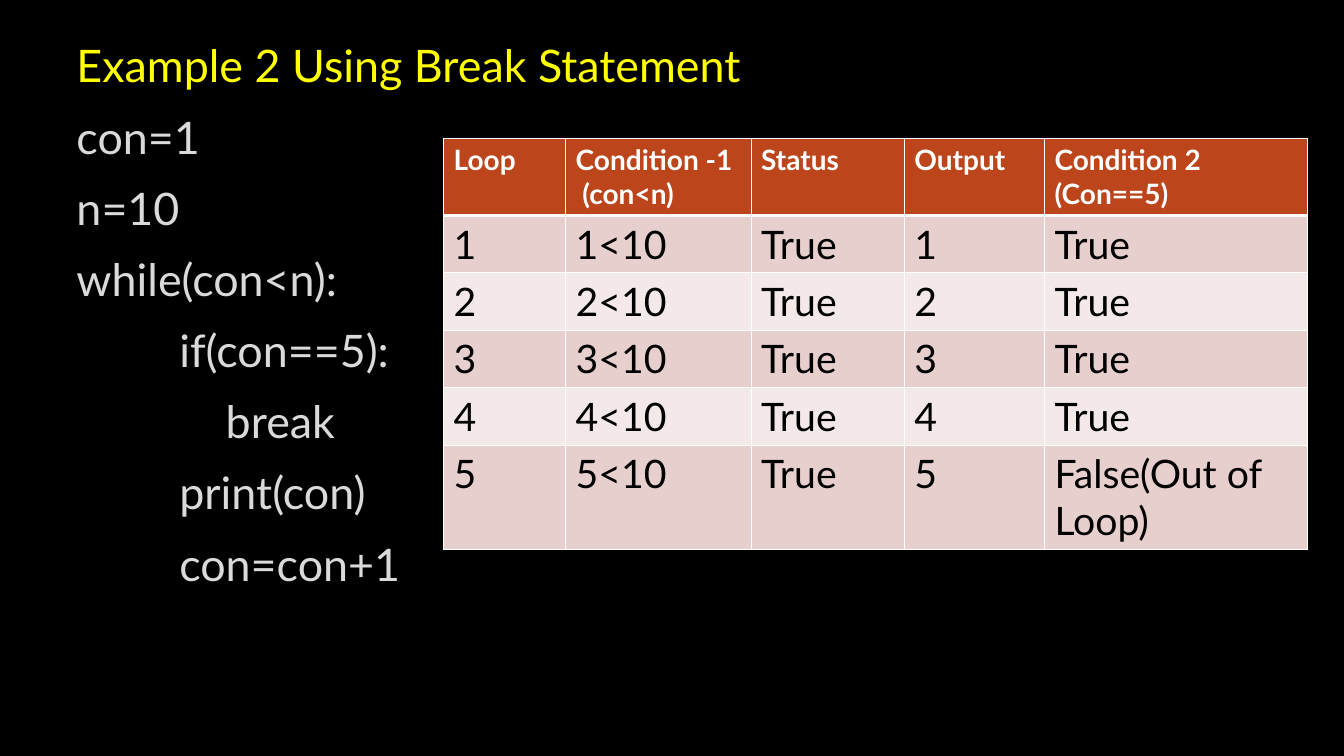
from lxml import etree
from pptx import Presentation
from pptx.dml.color import RGBColor
from pptx.oxml.ns import qn
from pptx.util import Emu, Pt

PX = 9144  # 100 px to the inch
FONT = "Lato"
CODE_COLOR = "DADADA"
HEADER_FILL = "BC451B"
BAND_FILLS = ("E7CFCD", "F3E9E8")
BORDER_COLOR = "FFFFFF"
INDENT = {0: 4, 1: 106, 2: 152}

LESSON = [
    ("Example 2 Using Break Statement", 0, "FFFF00"),
    ("con=1", 0, CODE_COLOR),
    ("n=10", 0, CODE_COLOR),
    ("while(con<n):", 0, CODE_COLOR),
    ("if(con==5):", 1, CODE_COLOR),
    ("break", 2, CODE_COLOR),
    ("print(con)", 1, CODE_COLOR),
    ("con=con+1", 1, CODE_COLOR),
]
HEADINGS = ["Loop", "Condition -1\n (con<n)", "Status", "Output",
            "Condition 2\n(Con==5)"]
LOOPS = 5
COLUMN_WIDTHS = [121, 184, 152, 139, 261]
ROW_HEIGHTS = [76] + [57] * (LOOPS - 1) + [103]


def px(length):
    return Emu(length * PX)


def rgb(value):
    return RGBColor.from_string(value)


def write(paragraph, text, *, size, color, bold=False):
    run = paragraph.add_run()
    run.text = text
    run.font.name = FONT
    run.font.size = Pt(size)
    run.font.bold = bold
    run.font.color.rgb = rgb(color)


def add_paragraphs(frame, count):
    """Return count paragraphs, the first being the one already there."""
    return [frame.paragraphs[0]] + [frame.add_paragraph() for _ in range(count - 1)]


def add_lesson(slide, left, top, width, height):
    frame = slide.shapes.add_textbox(px(left), px(top), px(width), px(height)).text_frame
    frame.word_wrap = True
    for paragraph, (text, level, color) in zip(add_paragraphs(frame, len(LESSON)), LESSON):
        paragraph.space_before = Pt(6.4)
        paragraph.space_after = Pt(6)
        properties = paragraph._p.get_or_add_pPr()
        properties.set("marL", str(px(INDENT[level])))
        properties.set("indent", "0")
        write(paragraph, text, size=32, color=color)


def set_borders(cell, bottom, top):
    """Draw the four cell borders, with widths in points for bottom and top."""
    properties = cell._tc.get_or_add_tcPr()
    widths = {"a:lnL": 1, "a:lnR": 1, "a:lnT": top, "a:lnB": bottom}
    for position, (tag, width) in enumerate(widths.items()):
        line = etree.Element(qn(tag), w=str(Pt(width)))
        fill = etree.SubElement(line, qn("a:solidFill"))
        etree.SubElement(fill, qn("a:srgbClr"), val=BORDER_COLOR)
        properties.insert(position, line)


def fill_cell(cell, text, fill, bottom=1, top=1, **text_format):
    cell.fill.solid()
    cell.fill.fore_color.rgb = rgb(fill)
    set_borders(cell, bottom, top)
    lines = text.split("\n")
    for paragraph, line in zip(add_paragraphs(cell.text_frame, len(lines)), lines):
        write(paragraph, line, **text_format)


def add_trace_table(slide, left, top):
    table = slide.shapes.add_table(
        len(ROW_HEIGHTS), len(COLUMN_WIDTHS), px(left), px(top),
        px(sum(COLUMN_WIDTHS)), px(sum(ROW_HEIGHTS))).table
    for column, width in zip(table.columns, COLUMN_WIDTHS):
        column.width = px(width)
    for row, height in zip(table.rows, ROW_HEIGHTS):
        row.height = px(height)
    for column, heading in enumerate(HEADINGS):
        fill_cell(table.cell(0, column), heading, HEADER_FILL, bottom=3,
                  size=20, color="FFFFFF", bold=True)
    for loop in range(1, LOOPS + 1):
        outcome = "True" if loop < LOOPS else "False(Out of Loop)"
        values = [str(loop), f"{loop}<10", "True", str(loop), outcome]
        for column, value in enumerate(values):
            fill_cell(table.cell(loop, column), value, BAND_FILLS[(loop - 1) % 2],
                      top=3 if loop == 1 else 1, size=28, color="000000")


def main():
    deck = Presentation()
    deck.slide_width, deck.slide_height = px(1333), px(750)
    slide = deck.slides.add_slide(deck.slide_layouts[6])
    slide.background.fill.solid()
    slide.background.fill.fore_color.rgb = rgb("000000")
    add_lesson(slide, 62, 33, 1209, 686)
    add_trace_table(slide, 440, 137)
    deck.save("out.pptx")


if __name__ == "__main__":
    main()
